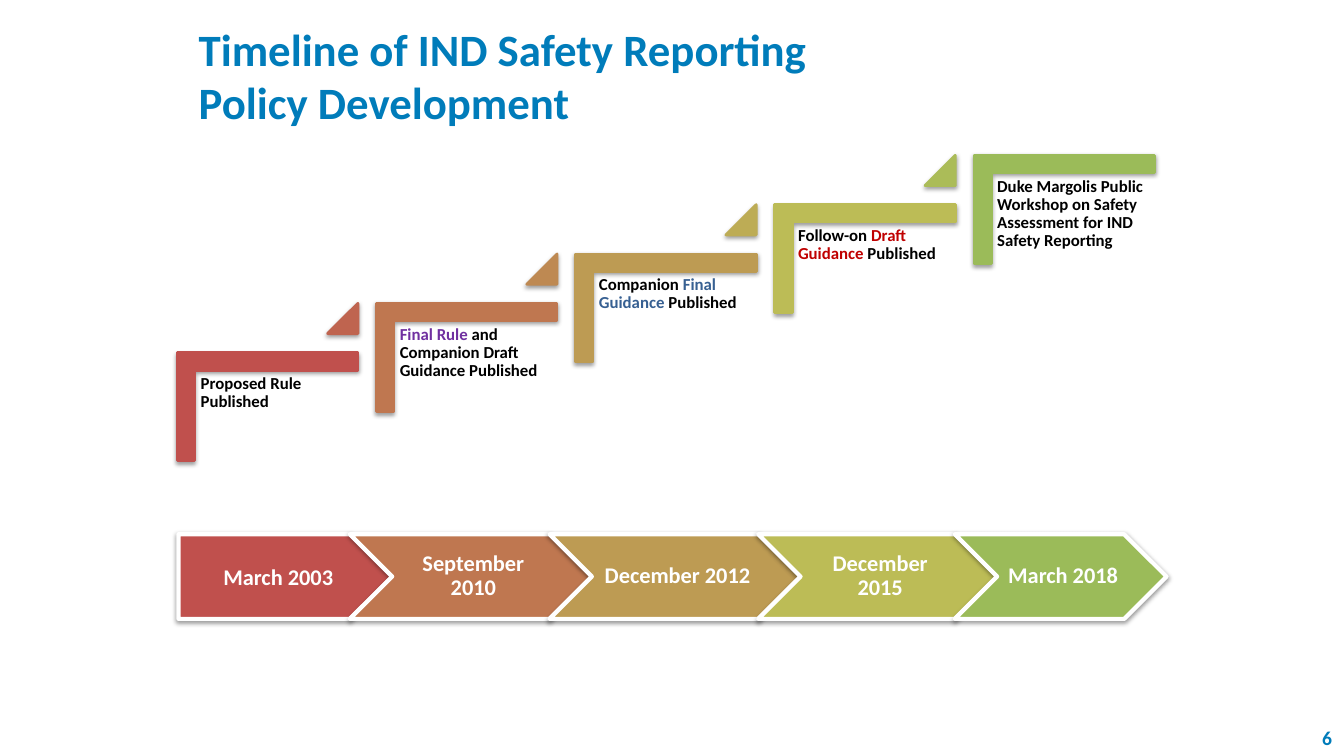
from lxml import etree
from pptx import Presentation
from pptx.dml.color import RGBColor
from pptx.enum.shapes import MSO_SHAPE
from pptx.enum.text import MSO_ANCHOR, MSO_AUTO_SIZE, PP_ALIGN
from pptx.oxml import parse_xml
from pptx.util import Inches, Pt

CORNER, TRIANGLE = MSO_SHAPE.CORNER, MSO_SHAPE.ISOSCELES_TRIANGLE
PENTAGON, CHEVRON = MSO_SHAPE.PENTAGON, MSO_SHAPE.CHEVRON
TOP, MIDDLE = MSO_ANCHOR.TOP, MSO_ANCHOR.MIDDLE
LEFT, CENTER, RIGHT = PP_ALIGN.LEFT, PP_ALIGN.CENTER, PP_ALIGN.RIGHT
NO_FIT, GROW = MSO_AUTO_SIZE.NONE, MSO_AUTO_SIZE.SHAPE_TO_FIT_TEXT

FONT = "Calibri"
BLUE, BLACK, WHITE = "007CBA", "000000", "FFFFFF"
STEP_X, STEP_Y = 1.975, 0.4895
BAND_TOP, BAND_HEIGHT = 5.3, 0.84
POINT = BAND_HEIGHT / 2

STEP_COLORS = ["C0504D", "BF7750", "BD9B53", "BCBC56", "9BBB59"]
RISE_COLORS = ["BF644F", "BE8952", "BDAC55", "ABBC58"]
MILESTONES = [
    [("Proposed Rule Published", BLACK)],
    [("Final Rule ", "7030A0"), ("and Companion Draft Guidance Published", BLACK)],
    [("Companion ", BLACK), ("Final Guidance ", "376092"), ("Published", BLACK)],
    [("Follow-on ", BLACK), ("Draft Guidance ", "C00000"), ("Published", BLACK)],
    [("Duke Margolis Public Workshop on Safety Assessment for IND Safety Reporting", BLACK)],
]
DATES = [
    ("March 2003", 1.77, 2.12),
    ("September 2010", 3.47, 2.4),
    ("December 2012", 5.45, 2.49),
    ("December 2015", 7.52, 2.37),
    ("March 2018", 9.47, 2.1),
]
SHADOW = (
    '<a:effectLst xmlns:a="http://schemas.openxmlformats.org/drawingml/2006/main">'
    '<a:outerShdw blurRad="40000" dist="20000" dir="5400000" rotWithShape="0">'
    '<a:srgbClr val="000000"><a:alpha val="38000"/></a:srgbClr>'
    "</a:outerShdw></a:effectLst>"
)


def rgb(value):
    return RGBColor.from_string(value)


def add_run(p, text, size, color):
    r = p.add_run()
    r.text = text
    r.font.name = FONT
    r.font.size = Pt(size)
    r.font.bold = True
    r.font.color.rgb = rgb(color)


def add_solid(shapes, kind, box, fill, line, width, adjustments=(), rotation=0):
    s = shapes.add_shape(kind, *map(Inches, box))
    s.rotation = rotation
    for i, value in enumerate(adjustments):
        s.adjustments[i] = value
    s.fill.solid()
    s.fill.fore_color.rgb = rgb(fill)
    s.line.color.rgb = rgb(line)
    s.line.width = Pt(width)
    s.shadow.inherit = False
    sp_pr = s.fill._xPr
    sp_pr.replace(sp_pr.find("{*}effectLst"), parse_xml(SHADOW))


def add_text(shapes, box, runs, size, align=LEFT, anchor=TOP,
             insets=(0.05, 0.05, 0.05, 0.05), tight=True):
    s = shapes.add_textbox(*map(Inches, box))
    tf = s.text_frame
    tf.word_wrap = True
    tf.vertical_anchor = anchor
    tf.margin_left, tf.margin_top, tf.margin_right, tf.margin_bottom = map(Inches, insets)
    p = tf.paragraphs[0]
    p.alignment = align
    if tight:
        p.line_spacing = 0.9
        p.space_after = Pt(size * 0.35)
    for text, color in runs:
        add_run(p, text, size, color)
    return tf


def add_title(slide):
    s = slide.shapes.title
    s.left, s.top, s.width, s.height = map(Inches, (1.87, 0.24, 9.31, 1.01))
    tf = s.text_frame
    tf.auto_size = NO_FIT
    tf.vertical_anchor = MIDDLE
    p = tf.paragraphs[0]
    p.alignment = LEFT
    add_run(p, "Timeline of IND Safety Reporting ", 32, BLUE)
    p.add_line_break()
    add_run(p, "Policy Development", 32, BLUE)


def add_staircase(shapes):
    for i, (color, runs) in enumerate(zip(STEP_COLORS, MILESTONES)):
        dx, dy = i * STEP_X, i * STEP_Y
        add_solid(shapes, CORNER, (2.12 + dx, 3.14 - dy, 1.07, 1.79),
                  color, color, 2, (0.161, 0.161), 90)
        add_text(shapes, (1.94 + dx, 3.67 - dy, 1.61, 1.41), runs, 12)
        if i < len(RISE_COLORS):
            rise = RISE_COLORS[i]
            add_solid(shapes, TRIANGLE, (3.25 + dx, 3.01 - dy, 0.3, 0.3), rise, rise, 2, (1,))


def add_date_band(shapes):
    for i, (color, (date, left, width)) in enumerate(zip(STEP_COLORS, DATES)):
        first = i == 0
        add_solid(shapes, PENTAGON if first else CHEVRON,
                  (left, BAND_TOP, width, BAND_HEIGHT), color, WHITE, 3)
        if first:
            text_left, text_width, inset = left, width - POINT / 2, 0.09
        else:
            text_left, text_width, inset = left + POINT, width - 2 * POINT, 0.07
        add_text(shapes, (text_left, BAND_TOP, text_width, BAND_HEIGHT), [(date, WHITE)],
                 16, CENTER, MIDDLE, (inset, 0.05, 0.02, 0.05), not first)


def add_page_number(shapes):
    tf = add_text(shapes, (12.87, 7.15, 0.44, 0.34), [("6", BLUE)], 14, RIGHT,
                  insets=(0.1, 0.05, 0.1, 0.05), tight=False)
    tf.word_wrap = False
    tf.auto_size = GROW


def main():
    prs = Presentation()
    prs.slide_width, prs.slide_height = Inches(13.33), Inches(7.5)
    slide = prs.slides.add_slide(prs.slide_layouts[5])
    add_page_number(slide.shapes)
    add_title(slide)
    add_staircase(slide.shapes.add_group_shape().shapes)
    add_date_band(slide.shapes.add_group_shape().shapes)
    prs.save("out.pptx")


if __name__ == "__main__":
    main()
